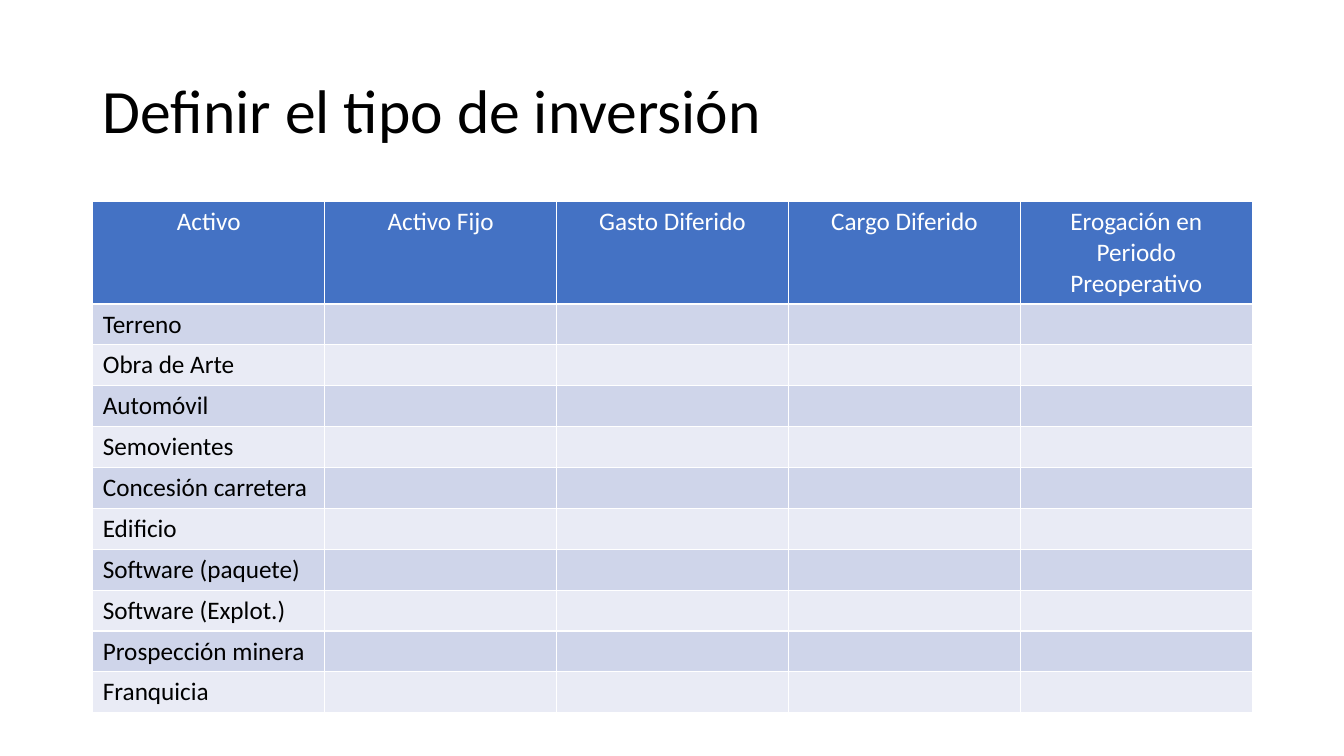
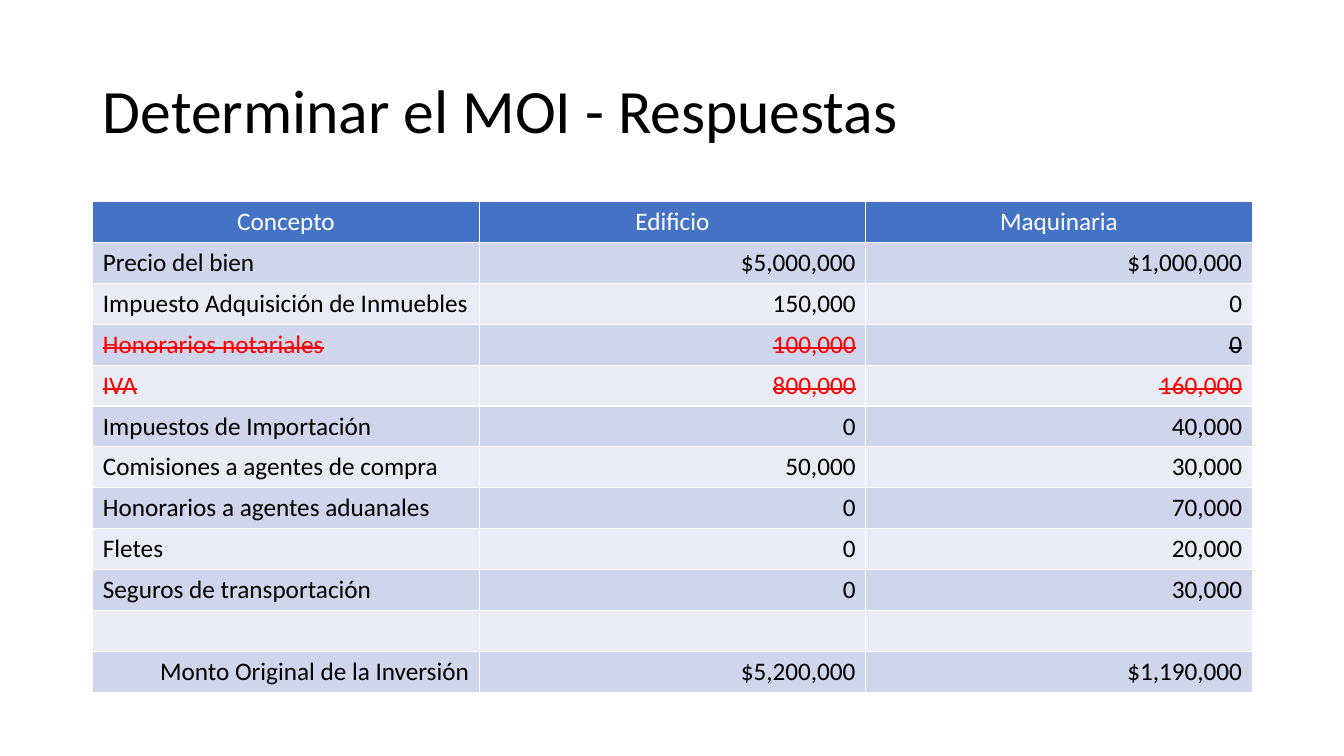
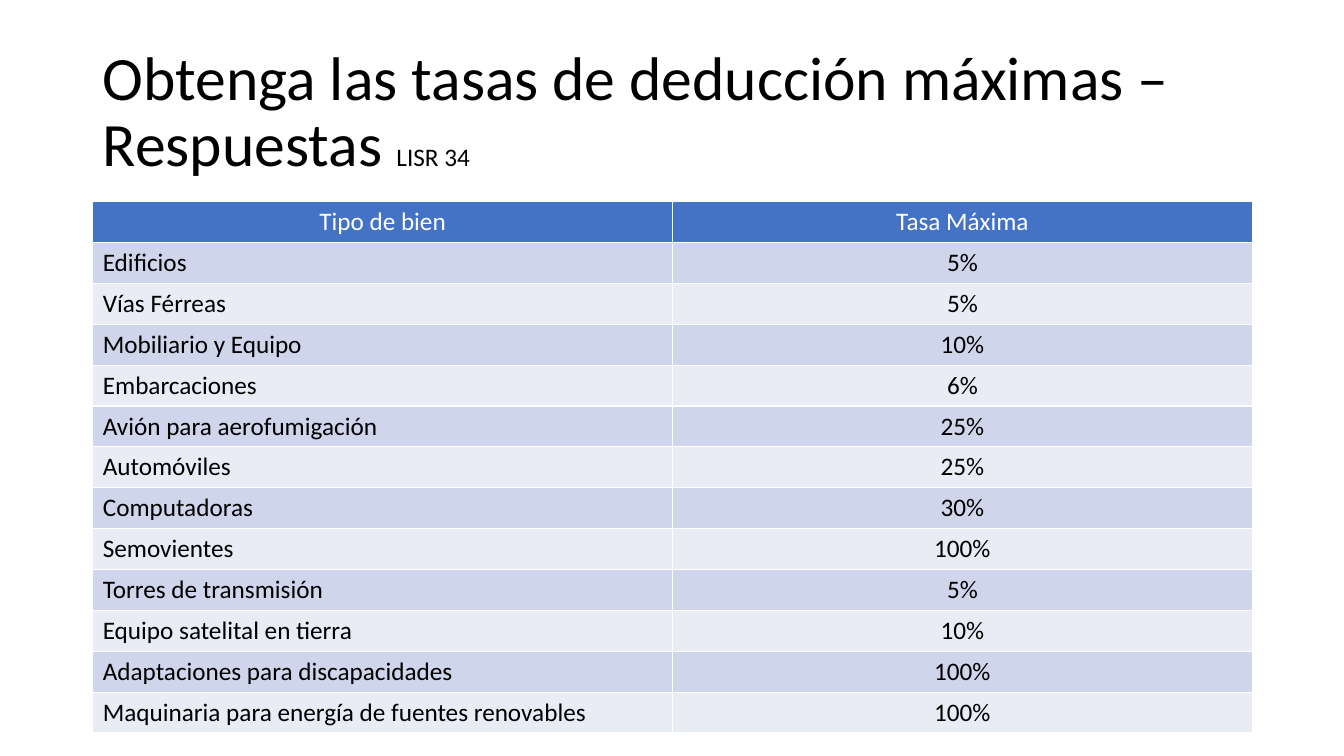
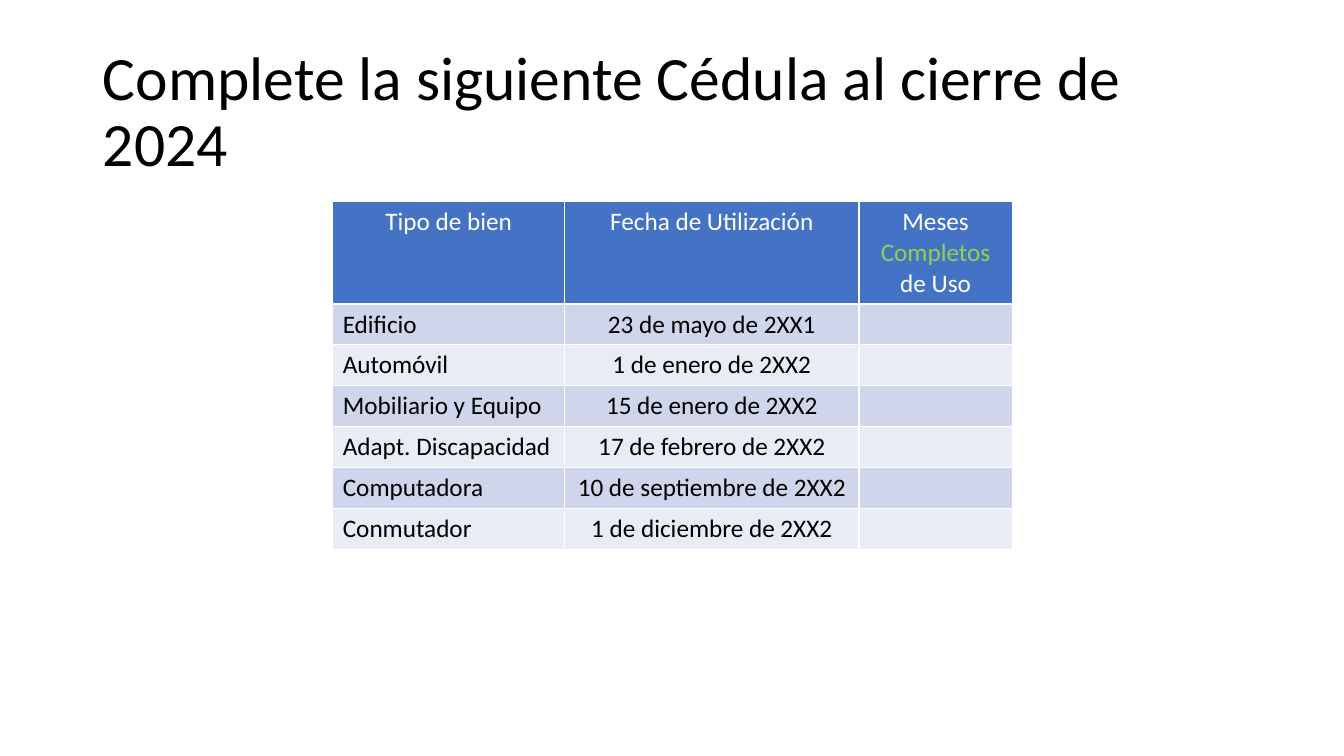
from dataclasses import dataclass

from pptx import Presentation
from pptx.dml.color import RGBColor
from pptx.enum.text import MSO_ANCHOR, MSO_AUTO_SIZE, PP_ALIGN
from pptx.util import Inches, Pt


@dataclass(frozen=True)
class Theme:
    font: str = "Calibri"
    title_size: int = 44
    body_size: int = 18
    text: str = "000000"
    header_text: str = "FFFFFF"
    header_fill: str = "4472C4"
    bands: tuple = ("CFD5EA", "E9EBF5")
    rejected: str = "FF0000"
    highlight: str = "92D050"


@dataclass(frozen=True)
class Span:
    """A piece of text; what is left out follows its surroundings."""
    text: str
    color: str = ""
    size: int = 0
    strike: bool = False


THEME = Theme()
LEFT, CENTER, RIGHT = PP_ALIGN.LEFT, PP_ALIGN.CENTER, PP_ALIGN.RIGHT
CONTENT_LEFT, CONTENT_WIDTH = Inches(0.92), Inches(11.5)
TABLE_TOP = Inches(2)
ROW_HEIGHT = Inches(5.27) // 13
TALL_HEADER = Inches(1)


def write(paragraph, content, color, size):
    """Add content, a string or a list of spans, run by run."""
    spans = [Span(content)] if isinstance(content, str) else content
    for span in spans:
        if not span.text:
            continue
        run = paragraph.add_run()
        run.text = span.text
        run.font.name = THEME.font
        run.font.size = Pt(span.size or size)
        run.font.bold = False
        run.font.color.rgb = RGBColor.from_string(span.color or color)
        if span.strike:
            run.font._element.set("strike", "sngStrike")


def rejected(text, color=THEME.rejected):
    return [Span(text, color, strike=True)]


assets = ["Terreno", "Obra de Arte", "Automóvil", "Semovientes", "Concesión carretera",
          "Edificio", "Software (paquete)", "Software (Explot.)", "Prospección minera",
          "Franquicia"]

# Each slide: title, table left, column widths, header height, column alignments, rows
slides = [
    ("Definir el tipo de inversión",
     CONTENT_LEFT, [CONTENT_WIDTH // 5] * 5, TALL_HEADER, [LEFT] * 5,
     [["Activo", "Activo Fijo", "Gasto Diferido", "Cargo Diferido",
       "Erogación en Periodo Preoperativo"]]
     + [[asset] + [""] * 4 for asset in assets]),
    ("Determinar el MOI - Respuestas",
     CONTENT_LEFT, [CONTENT_WIDTH // 3] * 3, ROW_HEIGHT, [LEFT, RIGHT, RIGHT],
     [["Concepto", "Edificio", "Maquinaria"],
      ["Precio del bien", "$5,000,000", "$1,000,000"],
      ["Impuesto Adquisición de Inmuebles", "150,000", "0"],
      [rejected("Honorarios notariales"), rejected("100,000"), rejected("0", THEME.text)],
      [rejected("IVA"), rejected("800,000"), rejected("160,000")],
      ["Impuestos de Importación", "0", "40,000"],
      ["Comisiones a agentes de compra", "50,000", "30,000"],
      ["Honorarios a agentes aduanales", "0", "70,000"],
      ["Fletes", "0", "20,000"],
      ["Seguros de transportación", "0", "30,000"],
      ["", "", ""],
      ["Monto Original de la Inversión", "$5,200,000", "$1,190,000"]]),
    ([Span("Obtenga las tasas de deducción máximas – Respuestas "),
      Span("LISR 34", size=THEME.body_size)],
     CONTENT_LEFT, [CONTENT_WIDTH // 2] * 2, ROW_HEIGHT, [LEFT, CENTER],
     [["Tipo de bien", "Tasa Máxima"],
      ["Edificios", "5%"],
      ["Vías Férreas", "5%"],
      ["Mobiliario y Equipo", "10%"],
      ["Embarcaciones", "6%"],
      ["Avión para aerofumigación", "25%"],
      ["Automóviles", "25%"],
      ["Computadoras", "30%"],
      ["Semovientes", "100%"],
      ["Torres de transmisión", "5%"],
      ["Equipo satelital en tierra", "10%"],
      ["Adaptaciones para discapacidades", "100%"],
      ["Maquinaria para energía de fuentes renovables", "100%"]]),
    ("Complete la siguiente Cédula al cierre de 2024",
     Inches(3.3), [Inches(2.3), Inches(2.92), Inches(1.52)], TALL_HEADER,
     [LEFT, CENTER, CENTER],
     [["Tipo de bien", "Fecha de Utilización",
       [Span("Meses "), Span("Completos", THEME.highlight), Span(" de Uso")]],
      ["Edificio", "23 de mayo de 2XX1", ""],
      ["Automóvil", "1 de enero de 2XX2", ""],
      ["Mobiliario y Equipo", "15 de enero de 2XX2", ""],
      ["Adapt. Discapacidad", "17 de febrero de 2XX2", ""],
      ["Computadora", "10 de septiembre de 2XX2", ""],
      ["Conmutador", "1 de diciembre de 2XX2", ""]]),
]

deck = Presentation()
deck.slide_width, deck.slide_height = Inches(13.33), Inches(7.5)
title_only = deck.slide_layouts[5]

for heading, table_left, widths, header_height, alignments, rows in slides:
    slide = deck.slides.add_slide(title_only)

    title = slide.shapes.title
    title.left, title.top = CONTENT_LEFT, Inches(0.4)
    title.width, title.height = CONTENT_WIDTH, Inches(1.45)
    title.text_frame.vertical_anchor = MSO_ANCHOR.MIDDLE
    title.text_frame.auto_size = MSO_AUTO_SIZE.NONE
    title.text_frame.word_wrap = True
    title_line = title.text_frame.paragraphs[0]
    title_line.alignment = LEFT
    title_line.line_spacing = 0.9
    write(title_line, heading, THEME.text, THEME.title_size)

    table_height = header_height + ROW_HEIGHT * (len(rows) - 1)
    table = slide.shapes.add_table(len(rows), len(widths), table_left, TABLE_TOP,
                                   sum(widths), table_height).table
    for column, width in zip(table.columns, widths):
        column.width = width

    for r, row in enumerate(rows):
        is_header = r == 0
        is_total = row[0] == "Monto Original de la Inversión"
        table.rows[r].height = header_height if is_header else ROW_HEIGHT
        fill = THEME.header_fill if is_header else THEME.bands[(r - 1) % 2]
        color = THEME.header_text if is_header else THEME.text
        for c, content in enumerate(row):
            cell = table.cell(r, c)
            cell.fill.solid()
            cell.fill.fore_color.rgb = RGBColor.from_string(fill)
            line = cell.text_frame.paragraphs[0]
            line.alignment = CENTER if is_header else RIGHT if is_total else alignments[c]
            write(line, content, color, THEME.body_size)

deck.save("out.pptx")
